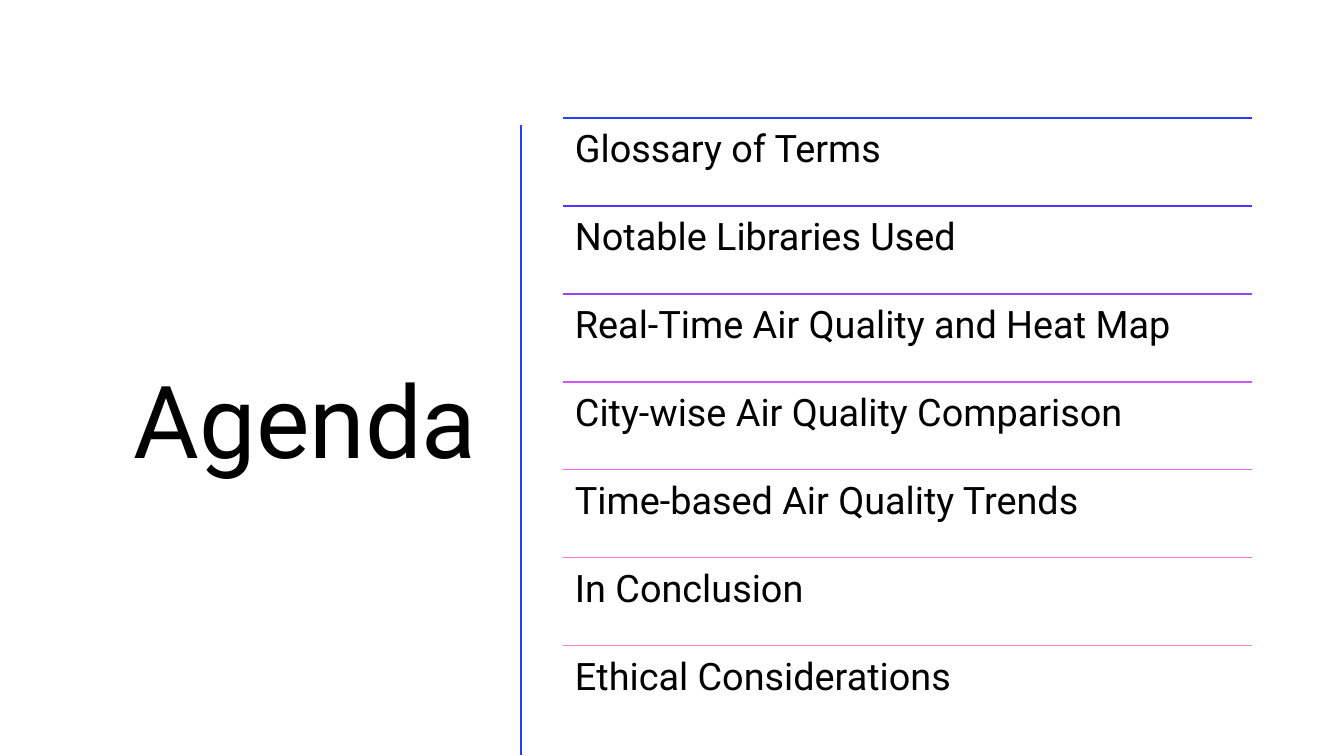
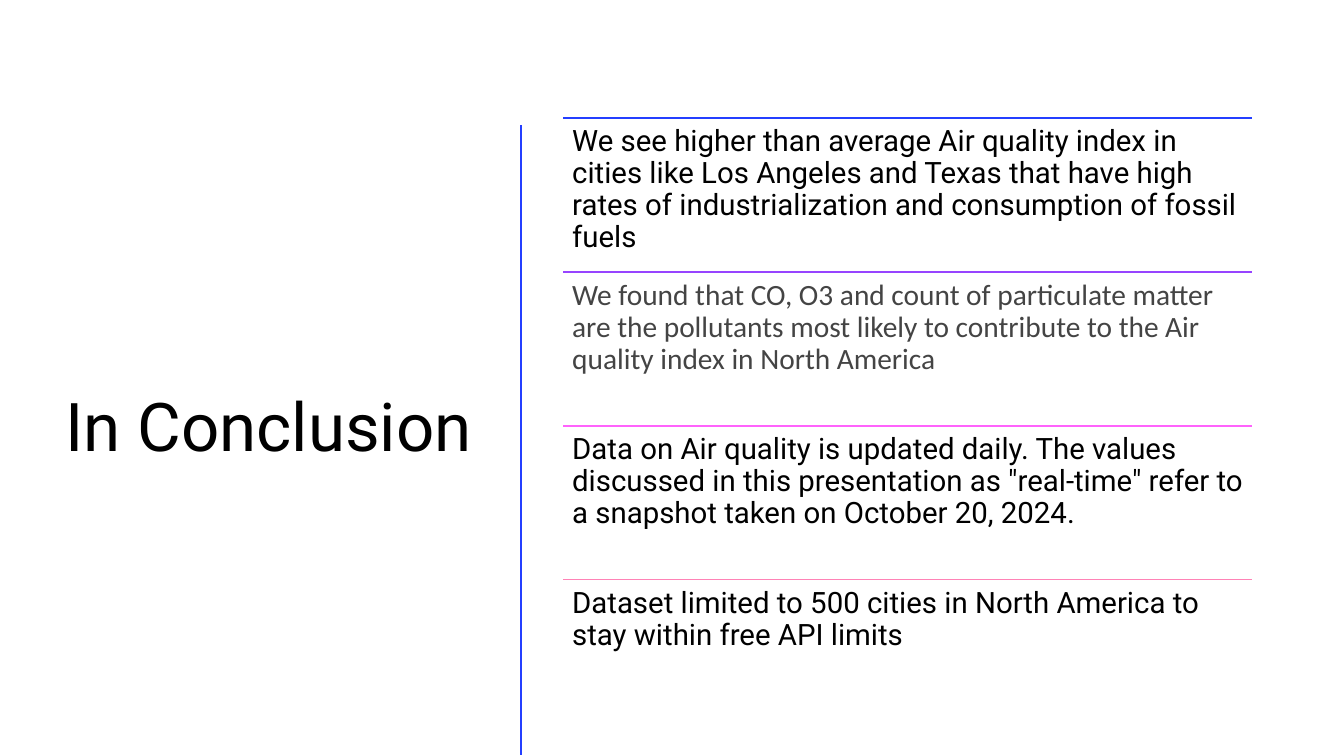
from lxml import etree
from pptx import Presentation
from pptx.dml.color import RGBColor
from pptx.enum.shapes import MSO_CONNECTOR
from pptx.enum.text import MSO_ANCHOR, PP_ALIGN
from pptx.oxml.ns import qn
from pptx.util import Cm, Pt

STRAIGHT = MSO_CONNECTOR.STRAIGHT
TOP, MIDDLE = MSO_ANCHOR.TOP, MSO_ANCHOR.MIDDLE
LEFT, RIGHT = PP_ALIGN.LEFT, PP_ALIGN.RIGHT

BLACK, GREY = "000000", "444444"
BLUE, INDIGO, VIOLET, ORCHID = "243FFF", "5534FF", "9744FF", "D154FF"
MAGENTA, PINK, ROSE = "FF63FC", "FF73D5", "FF83B6"
HEADING, BODY = "Roboto", "Calibri"

SLIDE_W, SLIDE_H = 33.87, 19.05
LIST_X, LIST_Y, LIST_W, LIST_H = 14.2, 2.97, 17.35, 15.52
DIVIDER_X, DIVIDER_TOP, DIVIDER_BOTTOM = 13.13, 3.15, 19.02

SLIDES = [
    {
        "title": "Agenda", "title_box": (1.32, 2.97, 10.95, 15.52), "title_size": 72,
        "size": 27, "inset": 0.29,
        "items": [
            ("Glossary of Terms", BLUE, HEADING, BLACK),
            ("Notable Libraries Used", INDIGO, HEADING, BLACK),
            ("Real-Time Air Quality and Heat Map", VIOLET, HEADING, BLACK),
            ("City-wise Air Quality Comparison", ORCHID, HEADING, BLACK),
            ("Time-based Air Quality Trends", MAGENTA, HEADING, BLACK),
            ("In Conclusion", PINK, HEADING, BLACK),
            ("Ethical Considerations", ROSE, HEADING, BLACK),
        ],
    },
    {
        "title": "In Conclusion", "title_box": (1.32, 3.15, 10.82, 15.37), "title_size": 48,
        "size": 21, "inset": 0.22,
        "items": [
            ("We see higher than average Air quality index in cities like Los Angeles "
             "and Texas that have high rates of industrialization and consumption of "
             "fossil fuels", BLUE, HEADING, BLACK),
            ("We found that CO, O3 and count of particulate matter are the pollutants "
             "most likely to contribute to the Air quality index in North America",
             VIOLET, BODY, GREY),
            ("Data on Air quality is updated daily. The values discussed in this "
             "presentation as \"real-time\" refer to a snapshot taken on "
             "October 20, 2024.", MAGENTA, HEADING, BLACK),
            ("Dataset limited to 500 cities in North America to stay within free API "
             "limits", ROSE, HEADING, BLACK),
        ],
    },
]


def rgb(value):
    return RGBColor.from_string(value)


def add_line(slide, x1, y1, x2, y2, color, width):
    line = slide.shapes.add_connector(STRAIGHT, Cm(x1), Cm(y1), Cm(x2), Cm(y2))
    line.line.color.rgb = rgb(color)
    line.line.width = Pt(width)
    etree.SubElement(line._element.spPr, qn("a:effectLst"))


def add_text(slide, box, text, size, font, color, inset, align=LEFT, anchor=TOP):
    tf = slide.shapes.add_textbox(*(Cm(v) for v in box)).text_frame
    tf.word_wrap = True
    tf.vertical_anchor = anchor
    tf.margin_left = tf.margin_right = tf.margin_top = tf.margin_bottom = Cm(inset)
    p = tf.paragraphs[0]
    p.alignment = align
    p.line_spacing = 0.9
    r = p.add_run()
    r.text = text
    r.font.size = Pt(size)
    r.font.name = font
    r.font.color.rgb = rgb(color)


def build_slide(prs, content):
    slide = prs.slides.add_slide(prs.slide_layouts[6])
    add_text(slide, content["title_box"], content["title"], content["title_size"],
             HEADING, BLACK, 0.25, RIGHT, MIDDLE)
    add_line(slide, DIVIDER_X, DIVIDER_TOP, DIVIDER_X, DIVIDER_BOTTOM, BLUE, 2)
    row_h = LIST_H / len(content["items"])
    for i, (text, rule_color, font, color) in enumerate(content["items"]):
        y = LIST_Y + i * row_h
        add_line(slide, LIST_X, y, LIST_X + LIST_W, y, rule_color, 1)
        add_text(slide, (LIST_X, y, LIST_W, row_h), text, content["size"],
                 font, color, content["inset"])


def main():
    prs = Presentation()
    prs.slide_width, prs.slide_height = Cm(SLIDE_W), Cm(SLIDE_H)
    for content in SLIDES:
        build_slide(prs, content)
    prs.save("out.pptx")


if __name__ == "__main__":
    main()
